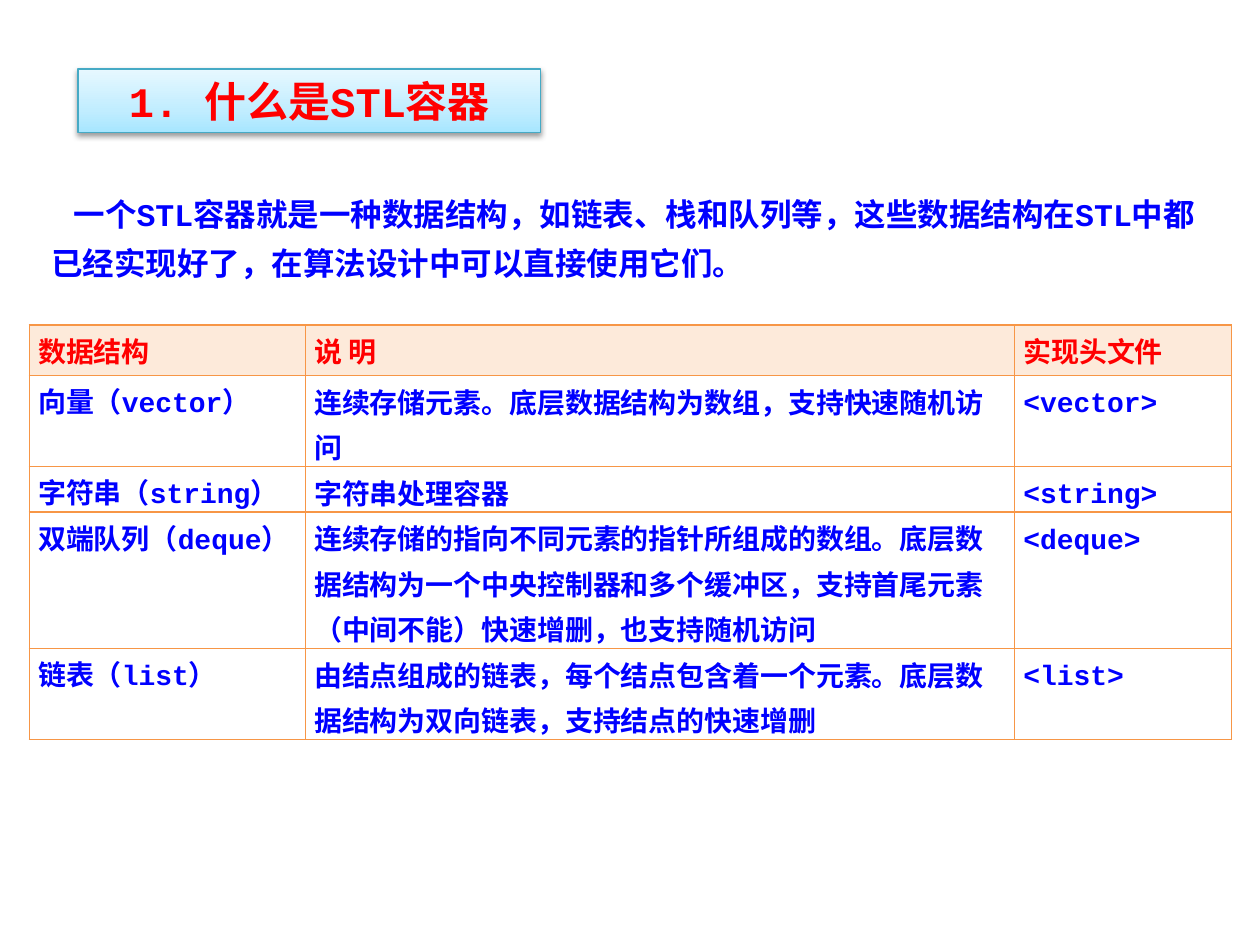
from pptx import Presentation
from pptx.dml.color import RGBColor
from pptx.enum.shapes import MSO_SHAPE
from pptx.enum.text import MSO_ANCHOR, PP_ALIGN
from pptx.oxml import parse_xml
from pptx.oxml.ns import nsdecls
from pptx.util import Pt

COLORS = {
    "heading": "FF0000", "body": "0000FF", "border": "F79646",
    "header_fill": "FDEADA", "cell_fill": "FFFFFF", "title_line": "46AAC5",
    "title_bottom": "A7E6FF", "title_middle": "C1EDFF",
    "title_top": "E7F8FF", "shadow": "000000",
}
TITLE = "1. 什么是STL容器"
INTRO = ("一个STL容器就是一种数据结构，如链表、栈和队列等，这些数据结构在STL中"
         "都已经实现好了，在算法设计中可以直接使用它们。")
COLUMN_WIDTHS = [157.7, 405.3, 123.8]
ROW_HEIGHTS = [28.8, 52, 26, 78, 52]
CONTAINERS = [
    ["数据结构", "说 明", "实现头文件"],
    ["向量（vector）", "连续存储元素。底层数据结构为数组，支持快速随机访问", "<vector>"],
    ["字符串（string）", "字符串处理容器", "<string>"],
    ["双端队列（deque）",
     "连续存储的指向不同元素的指针所组成的数组。底层数据结构为一个中央控制器和多个缓冲区，"
     "支持首尾元素（中间不能）快速增删，也支持随机访问", "<deque>"],
    ["链表（list）",
     "由结点组成的链表，每个结点包含着一个元素。底层数据结构为双向链表，支持结点的快速增删",
     "<list>"],
]


def rgb(name):
    return RGBColor.from_string(COLORS[name])


def write(paragraph, text, size, color, font="Courier New", align=None, spacing=None):
    paragraph.alignment = align
    if spacing:
        paragraph.line_spacing = Pt(spacing)
    run = paragraph.add_run()
    run.text = text
    run.font.name = font
    run.font.size = Pt(size)
    run.font.bold = True
    run.font.color.rgb = rgb(color)


def add_title(slide, left, top, width, height):
    title = slide.shapes.add_shape(
        MSO_SHAPE.RECTANGLE, Pt(left), Pt(top), Pt(width), Pt(height))
    # Three-stop gradient, running upwards
    stops = "".join(
        f'<a:gs pos="{position * 1000}"><a:srgbClr val="{COLORS[name]}"/></a:gs>'
        for position, name in
        [(0, "title_bottom"), (35, "title_middle"), (100, "title_top")])
    properties = title._element.spPr
    properties.append(parse_xml(
        f'<a:gradFill {nsdecls("a")} rotWithShape="1"><a:gsLst>{stops}</a:gsLst>'
        '<a:lin ang="16200000" scaled="1"/></a:gradFill>'))
    title.line.color.rgb = rgb("title_line")
    title.line.width = Pt(0.75)
    # Soft shadow below
    properties.append(parse_xml(
        f'<a:effectLst {nsdecls("a")}><a:outerShdw blurRad="{Pt(3.1)}" '
        f'dist="{Pt(1.6)}" dir="5400000" rotWithShape="0">'
        f'<a:srgbClr val="{COLORS["shadow"]}"><a:alpha val="38000"/></a:srgbClr>'
        '</a:outerShdw></a:effectLst>'))
    frame = title.text_frame
    frame.word_wrap = True
    frame.vertical_anchor = MSO_ANCHOR.TOP
    write(frame.paragraphs[0], TITLE, 24, "heading", align=PP_ALIGN.CENTER)


def add_intro(slide, left, top, width, height):
    intro = slide.shapes.add_textbox(Pt(left), Pt(top), Pt(width), Pt(height))
    intro.text_frame.word_wrap = True
    paragraph = intro.text_frame.paragraphs[0]
    properties = paragraph._p.get_or_add_pPr()
    properties.set("marL", "0")
    properties.set("indent", str(Pt(12.6)))
    write(paragraph, INTRO, 18, "body", spacing=28)


def add_borders(cell):
    properties = cell._tc.get_or_add_tcPr()
    for side in ("lnL", "lnR", "lnT", "lnB"):
        properties.append(parse_xml(
            f'<a:{side} {nsdecls("a")} w="{Pt(1)}"><a:solidFill>'
            f'<a:srgbClr val="{COLORS["border"]}"/></a:solidFill></a:{side}>'))


def add_container_table(slide, left, top):
    table = slide.shapes.add_table(
        len(ROW_HEIGHTS), len(COLUMN_WIDTHS), Pt(left), Pt(top),
        Pt(sum(COLUMN_WIDTHS)), Pt(sum(ROW_HEIGHTS))).table
    table.horz_banding = False
    for column, width in zip(table.columns, COLUMN_WIDTHS):
        column.width = Pt(width)
    for row, height in zip(table.rows, ROW_HEIGHTS):
        row.height = Pt(height)
    for row_index, texts in enumerate(CONTAINERS):
        header = row_index == 0
        for column_index, text in enumerate(texts):
            cell = table.cell(row_index, column_index)
            cell.margin_left = cell.margin_right = Pt(5)
            cell.margin_top = cell.margin_bottom = 0
            add_borders(cell)
            cell.fill.solid()
            cell.fill.fore_color.rgb = rgb("header_fill" if header else "cell_fill")
            justified = header or column_index == 2
            write(cell.text_frame.paragraphs[0], text, 16,
                  "heading" if header else "body",
                  font="Times New Roman" if header else "Courier New",
                  align=PP_ALIGN.JUSTIFY if justified else PP_ALIGN.LEFT,
                  spacing=26)


def main():
    presentation = Presentation()
    presentation.slide_width, presentation.slide_height = Pt(720), Pt(540)
    slide = presentation.slides.add_slide(presentation.slide_layouts[6])
    add_title(slide, 44.6, 39.4, 264.4, 36.4)
    add_container_table(slide, 16.8, 185.8)
    add_intro(slide, 22.3, 101.5, 680.4, 61.2)
    presentation.save("out.pptx")


if __name__ == "__main__":
    main()
